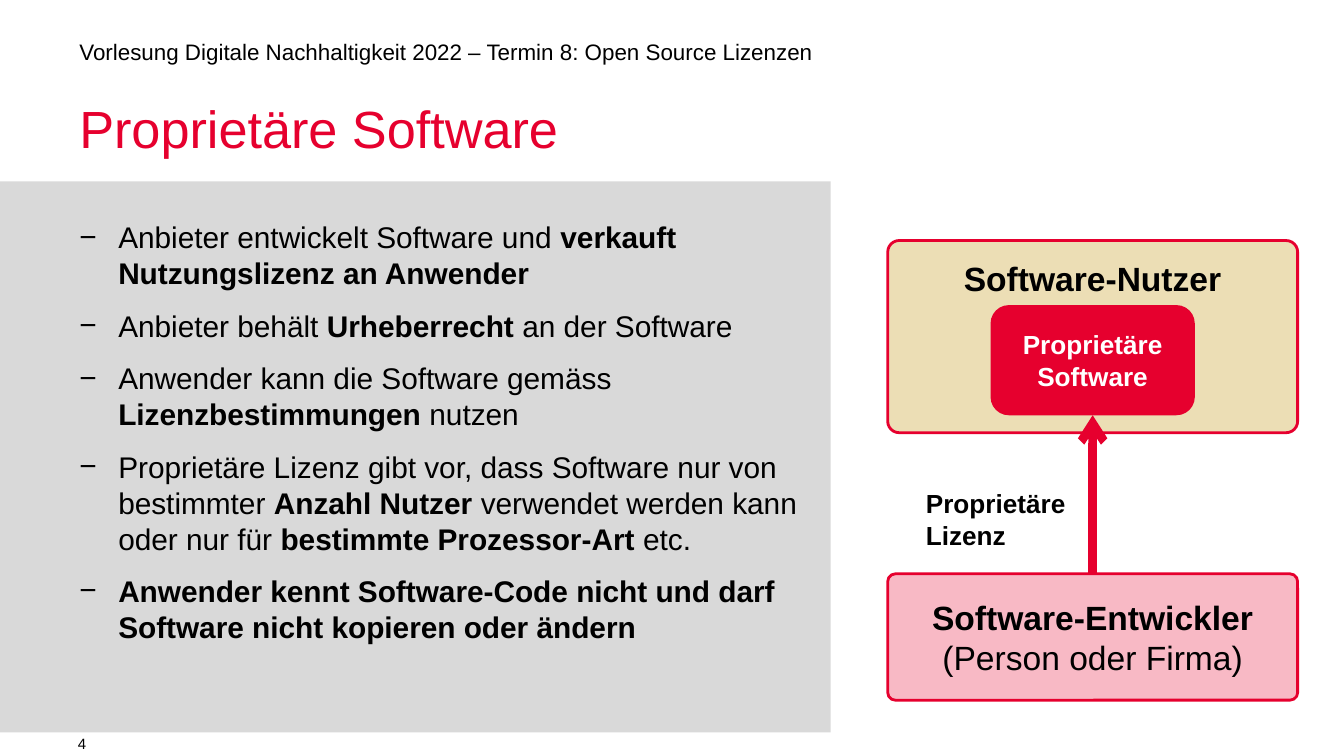
from lxml.etree import SubElement
from pptx import Presentation
from pptx.dml.color import RGBColor
from pptx.enum.shapes import MSO_CONNECTOR, MSO_SHAPE
from pptx.enum.text import MSO_ANCHOR as ANCHOR, PP_ALIGN as ALIGN
from pptx.oxml.ns import qn
from pptx.util import Inches, Pt

COLORS = {
    "red": "E6002E",
    "pink": "E70E39",
    "gold": "BF9000",
    "panel": "D9D9D9",
    "black": "000000",
    "white": "FFFFFF",
}
FONT = "Arial"
CENTER_X = 8.13  # shared axis of the diagram
BOX_W = 3.05
TOP, BOTTOM = 0, 2

# Each bullet is a list of (text, bold) runs.
BULLETS = [
    [("Anbieter entwickelt Software und ", False),
     ("verkauft Nutzungslizenz an Anwender", True)],
    [("Anbieter behält ", False), ("Urheberrecht", True),
     (" an der Software", False)],
    [("Anwender kann die Software gemäss ", False),
     ("Lizenzbestimmungen", True), (" nutzen", False)],
    [("Proprietäre Lizenz gibt vor, dass Software nur von bestimmter ", False),
     ("Anzahl Nutzer ", True), ("verwendet werden kann oder nur für ", False),
     ("bestimmte Prozessor-Art ", True), ("etc.", False)],
    [("Anwender kennt Software-Code nicht und darf Software nicht kopieren "
      "oder ändern", True)],
]


def rgb(name):
    return RGBColor.from_string(COLORS[name])


def inches(*values):
    return [Inches(v) for v in values]


def set_frame(tf, margins=(0, 0, 0, 0), **formats):
    sides = ("left", "top", "right", "bottom")
    values = {f"margin_{s}": Inches(m) for s, m in zip(sides, margins)}
    for name, value in {"word_wrap": True, **values, **formats}.items():
        setattr(tf, name, value)


def add_run(p, text, size, color="black", bold=False):
    r = p.add_run()
    r.text = text
    font = {"name": FONT, "size": Pt(size), "bold": bold}
    for name, value in font.items():
        setattr(r.font, name, value)
    r.font.color.rgb = rgb(color)


def write(tf, paragraphs, size, color="black", **formats):
    """Fill a frame with paragraphs, each a list of (text, bold) runs."""
    for i, runs in enumerate(paragraphs):
        p = tf.add_paragraph() if i else tf.paragraphs[0]
        for name, value in formats.items():
            setattr(p, name, value)
        for text, bold in runs:
            add_run(p, text, size, color, bold)


def add_text(slide, at, paragraphs, size, frame=None, **formats):
    tf = slide.shapes.add_textbox(*inches(*at)).text_frame
    set_frame(tf, **(frame or {}))
    write(tf, paragraphs, size, **formats)
    return tf


def add_box(slide, kind, at, fill, line=None, opacity=None, radius=None):
    sp = slide.shapes.add_shape(kind, *inches(*at))
    sp.shadow.inherit = False
    sp.fill.solid()
    sp.fill.fore_color.rgb = rgb(fill)
    if opacity:
        color = sp.fill._xPr.find(".//" + qn("a:srgbClr"))
        SubElement(color, qn("a:alpha"), val=str(opacity * 1000))
    if line:
        sp.line.color.rgb = rgb(line)
        sp.line.width = Pt(1.5)
    else:
        sp.line.fill.background()
    if radius:
        sp.adjustments[0] = radius
    return sp


def add_party(slide, top, height, fill):
    """Add a tinted, red-edged box for one side of the licence."""
    at = (CENTER_X - BOX_W / 2, top, BOX_W, height)
    return add_box(slide, MSO_SHAPE.ROUNDED_RECTANGLE, at, fill,
                   line="red", opacity=29, radius=0.06)


def add_arrow(slide, start, end):
    """Join the top of one box to the bottom of another."""
    line = slide.shapes.add_connector(MSO_CONNECTOR.STRAIGHT, 0, 0, 0, 0)
    line.begin_connect(start, TOP)
    line.end_connect(end, BOTTOM)
    line.line.color.rgb = rgb("red")
    line.line.width = Pt(4.5)
    SubElement(line.line._get_or_add_ln(), qn("a:tailEnd"), type="arrow")
    SubElement(line._element.spPr, qn("a:effectLst"))


def add_title(slide, text):
    title = slide.shapes.title
    title.left, title.top, title.width, title.height = inches(
        0.59, 0.74, 7.68, 0.45)
    set_frame(title.text_frame, vertical_anchor=ANCHOR.TOP)
    write(title.text_frame, [[(text, False)]], 28, "red",
          alignment=ALIGN.LEFT, line_spacing=Pt(32))


def add_bullets(slide, at, items):
    tf = add_text(slide, at, items, 16)
    indent = Inches(0.29)
    for i, p in enumerate(tf.paragraphs):
        p.space_before = Pt(9 if i else 0)
        pPr = p._p.get_or_add_pPr()
        pPr.set("marL", str(indent))
        pPr.set("indent", str(-indent))
        SubElement(pPr, qn("a:buFont"), typeface=FONT)
        SubElement(pPr, qn("a:buChar"), char="−")


def add_diagram(slide):
    padding = (0.1, 0.05, 0.1, 0.05)
    label = {"margins": padding, "word_wrap": False}
    add_party(slide, 1.79, 1.43, "gold")
    developer = add_party(slide, 4.27, 0.94, "pink")
    software = add_box(slide, MSO_SHAPE.ROUNDED_RECTANGLE,
                       (CENTER_X - 0.76, 2.27, 1.52, 0.82), "red")
    set_frame(software.text_frame, vertical_anchor=ANCHOR.MIDDLE)
    write(software.text_frame, [[("Proprietäre Software", True)]], 14,
          "white", alignment=ALIGN.CENTER)
    add_arrow(slide, developer, software)

    add_text(slide, (CENTER_X - 1.07, 1.87, 2.14, 0.4),
             [[("Software-Nutzer", True)]], 18, label,
             alignment=ALIGN.CENTER)
    add_text(slide, (6.79, 3.58, 1.25, 0.57),
             [[("Proprietäre", True)], [("Lizenz", True)]], 14, label)
    add_text(slide, (CENTER_X - BOX_W / 2, 4.39, BOX_W, 0.71),
             [[("Software-Entwickler", True)],
              [("(Person oder Firma)", False)]],
             18, {"margins": padding}, alignment=ALIGN.CENTER)


def main():
    prs = Presentation()
    prs.slide_width = Inches(10)
    prs.slide_height = Inches(10 * 9 / 16)
    slide = prs.slides.add_slide(prs.slide_layouts[5])

    add_box(slide, MSO_SHAPE.RECTANGLE, (0, 1.35, 6.18, 4.1), "panel")
    add_text(slide, (0.59, 0.31, 7.68, 0.2),
             [[("Vorlesung Digitale Nachhaltigkeit 2022 – "
                "Termin 8: Open Source Lizenzen", False)]],
             12, line_spacing=0.9)
    add_title(slide, "Proprietäre Software")
    add_bullets(slide, (0.59, 1.63, 5.43, 3.57), BULLETS)
    add_diagram(slide)
    add_text(slide, (0.58, 5.45, 1.57, 0.17), [[("4", False)]], 8,
             {"vertical_anchor": ANCHOR.MIDDLE})
    prs.save("out.pptx")


if __name__ == "__main__":
    main()
